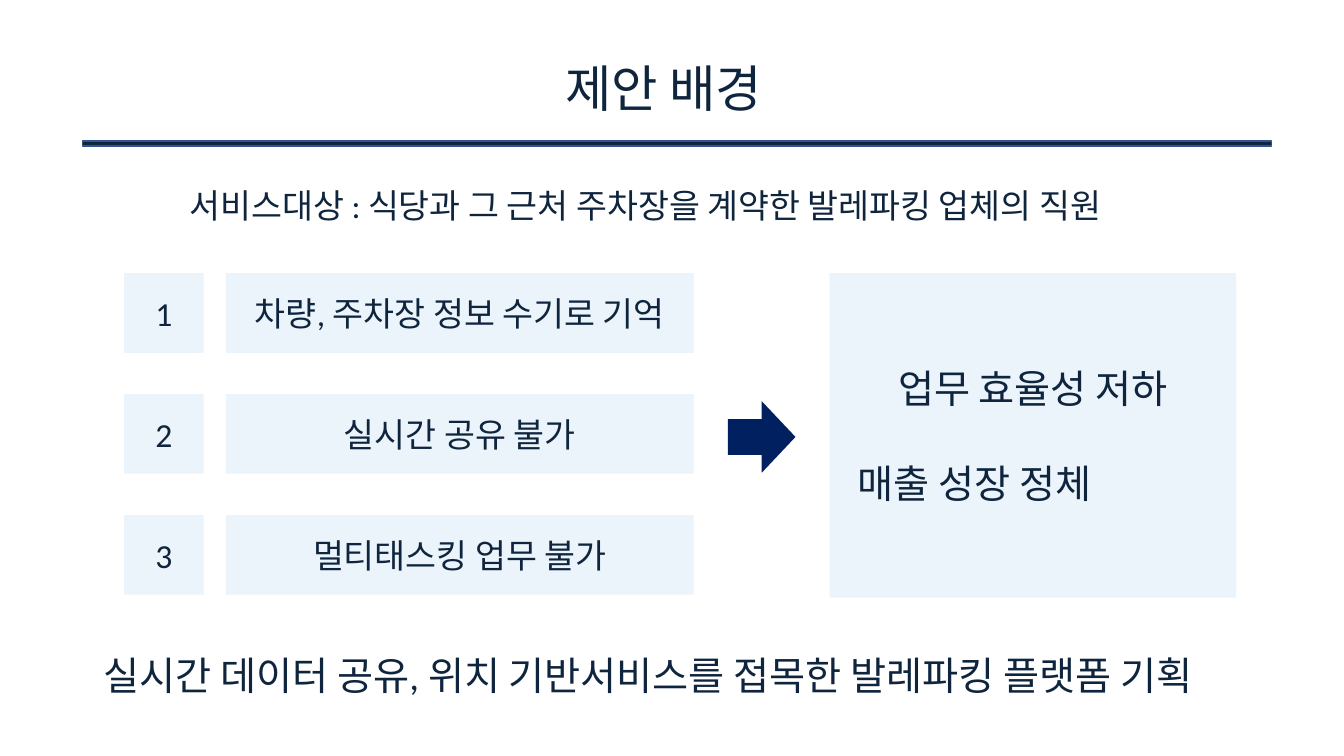
from pptx import Presentation
from pptx.dml.color import RGBColor
from pptx.enum.shapes import MSO_SHAPE
from pptx.enum.text import MSO_ANCHOR, PP_ALIGN
from pptx.util import Inches, Pt

NAVY = RGBColor(0x0F, 0x25, 0x3E)
RULE_EDGE = RGBColor(0x32, 0x54, 0x91)
ARROW_BLUE = RGBColor(0x00, 0x20, 0x60)
PALE_BLUE = RGBColor(0xEB, 0xF3, 0xFB)
RECTANGLE = MSO_SHAPE.RECTANGLE
RIGHT_ARROW = MSO_SHAPE.RIGHT_ARROW
MIDDLE = MSO_ANCHOR.MIDDLE
LEFT, CENTER = PP_ALIGN.LEFT, PP_ALIGN.CENTER

PROBLEMS = ["차량, 주차장 정보 수기로 기억", "실시간 공유 불가", "멀티태스킹 업무 불가"]
ROW_TOP, ROW_STEP, ROW_HEIGHT = 2.71, 1.2, 0.79


class SlideBuilder:
    """Draws styled elements on the current slide."""

    font_name = "Calibri"

    def __init__(self, slide):
        self.slide = slide

    def set_text(self, text_frame, text, size, alignment):
        text_frame.word_wrap = True
        text_frame.text = text
        for paragraph in text_frame.paragraphs:
            paragraph.alignment = alignment
            for run in paragraph.runs:
                run.font.name = self.font_name
                run.font.size = Pt(size)
                run.font.color.rgb = NAVY

    def label(self, left, top, width, height, text, size):
        box = self.slide.shapes.add_textbox(
            Inches(left), Inches(top), Inches(width), Inches(height))
        self.set_text(box.text_frame, text, size, LEFT)

    def block(self, kind, left, top, width, height, fill):
        shape = self.slide.shapes.add_shape(
            kind, Inches(left), Inches(top), Inches(width), Inches(height))
        shape.shadow.inherit = False
        shape.fill.solid()
        shape.fill.fore_color.rgb = fill
        shape.line.fill.background()
        return shape

    def card(self, left, top, width, height, text, size=24):
        shape = self.block(RECTANGLE, left, top, width, height, PALE_BLUE)
        shape.text_frame.vertical_anchor = MIDDLE
        self.set_text(shape.text_frame, text, size, CENTER)
        return shape


def main():
    presentation = Presentation()
    presentation.slide_width = Inches(13.33)
    presentation.slide_height = Inches(7.5)
    slide = presentation.slides.add_slide(presentation.slide_layouts[6])
    builder = SlideBuilder(slide)

    rule = builder.block(RECTANGLE, 0.82, 1.4, 11.79, 0.05, NAVY)
    rule.line.color.rgb = RULE_EDGE
    rule.line.width = Pt(1)
    builder.label(5.51, 0.52, 2.32, 0.71, "제안 배경", 36)
    builder.label(1.78, 1.79, 9.88, 0.5,
                  "서비스대상 : 식당과 그 근처 주차장을 계약한 발레파킹 업체의 직원", 24)
    builder.label(0.93, 6.41, 11.79, 0.57,
                  "실시간 데이터 공유, 위치 기반서비스를 접목한 발레파킹 플랫폼 기획", 28)

    for index, problem in enumerate(PROBLEMS):
        top = ROW_TOP + index * ROW_STEP
        builder.card(1.23, top, ROW_HEIGHT, ROW_HEIGHT, str(index + 1))
        builder.card(2.24, top, 4.64, ROW_HEIGHT, problem)

    builder.block(RIGHT_ARROW, 7.22, 3.98, 0.67, 0.71, ARROW_BLUE)
    effects = builder.card(8.23, ROW_TOP, 4.03, 3.22,
                           "업무 효율성 저하\n매출 성장 정체", 28)
    stagnation = effects.text_frame.paragraphs[1]
    stagnation.alignment = LEFT
    stagnation.space_before = Pt(34)
    stagnation._p.get_or_add_pPr().set("marL", str(Inches(0.18)))

    presentation.save("out.pptx")


if __name__ == "__main__":
    main()
